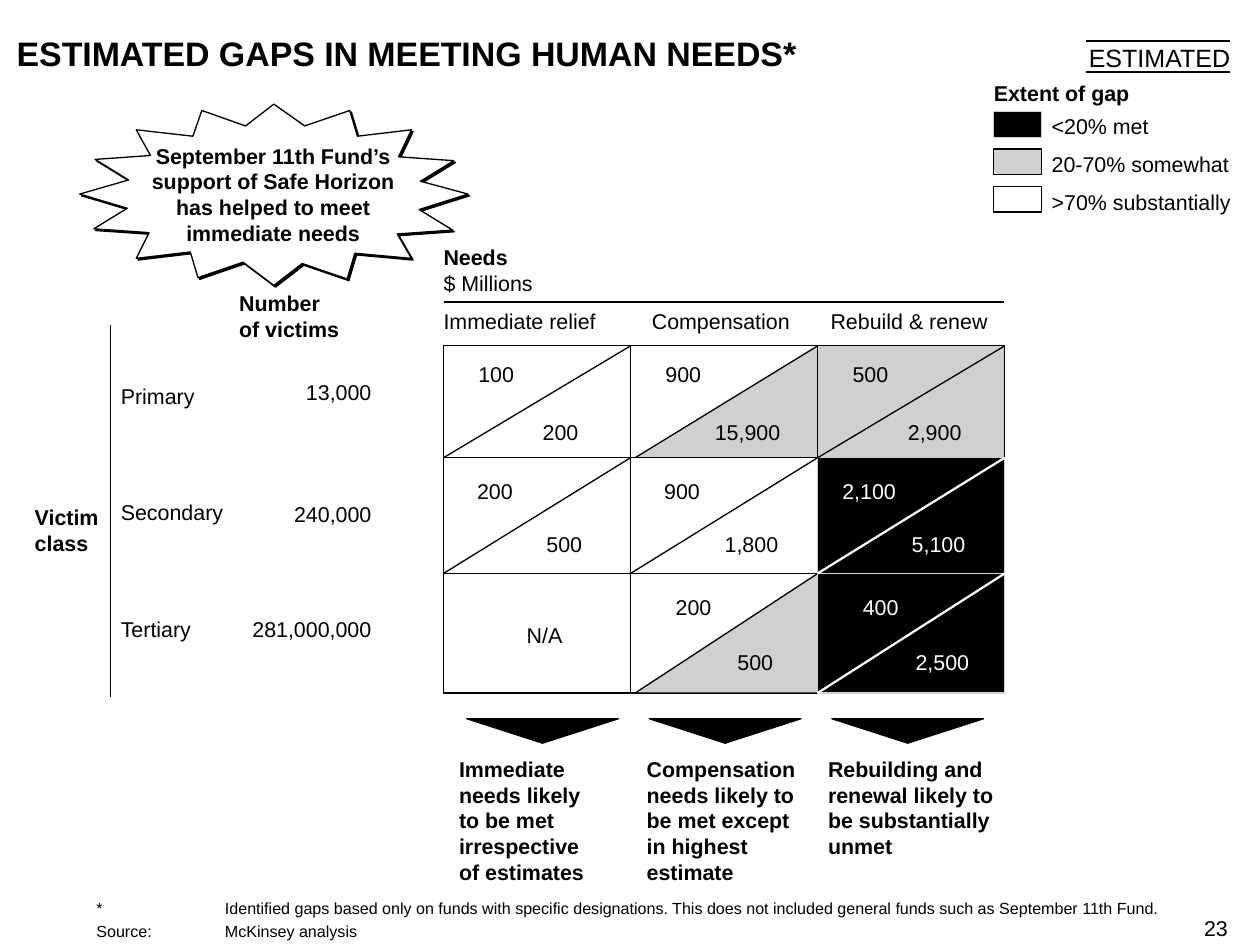
"""Build the slide on estimated gaps in meeting human needs."""
from dataclasses import dataclass
from lxml.etree import SubElement
from pptx import Presentation
from pptx.dml.color import RGBColor as RGB
from pptx.enum.shapes import MSO_CONNECTOR as LINK, MSO_SHAPE as SHAPE
from pptx.enum.text import MSO_ANCHOR as ANCHOR, PP_ALIGN as ALIGN
from pptx.oxml.ns import qn
from pptx.util import Emu, Inches, Pt


@dataclass(frozen=True)
class Theme:
    font: str = "Arial"
    black: str = "000000"
    white: str = "FFFFFF"
    grey: str = "D0D0D0"
    title: int = 19
    tag: int = 14
    body: int = 12
    note: int = 9


theme = Theme()
prs = Presentation()
prs.slide_width, prs.slide_height = Inches(9.8), Inches(7.35)
s = prs.slides.add_slide(prs.slide_layouts[6])
unit = prs.slide_width / 98


def grid(*lengths):
    """Turn grid columns and rows into slide lengths."""
    return [Emu(round(n * unit)) for n in lengths]


def text(content, x, y, w, h=2, size=theme.body, bold=False, color=theme.black,
         align=ALIGN.LEFT, anchor=ANCHOR.TOP, tab=None, before=0):
    """Add a text box with one paragraph per line of content."""
    tf = s.shapes.add_textbox(*grid(x, y, w, h)).text_frame
    tf.word_wrap, tf.vertical_anchor = True, anchor
    tf.margin_left = tf.margin_right = tf.margin_top = tf.margin_bottom = 0
    for i, line in enumerate(content.split("\n")):
        p = tf.add_paragraph() if i else tf.paragraphs[0]
        p.alignment = align
        if i and before:
            p.space_before = Pt(before)
        if tab:
            tabs = SubElement(p._p.get_or_add_pPr(), qn("a:tabLst"))
            SubElement(tabs, qn("a:tab"), pos=str(grid(tab)[0]), algn="l")
        r = p.add_run()
        r.text = line
        r.font.name, r.font.size, r.font.bold = theme.font, Pt(size), bold
        r.font.color.rgb = RGB.from_string(color)
    return tf


columns = [
    ("Immediate relief", 34.5, 35.7, 11.2,
     "Immediate needs likely to be met irrespective of estimates"),
    ("Compensation", 50.7, 50.3, 12.9,
     "Compensation needs likely to be met except in highest estimate"),
    ("Rebuild & renew", 64.6, 64.4, 13.8,
     "Rebuilding and renewal likely to be substantially unmet"),
]
rows = [
    ("Primary", 29.8, "13,000", 29.5, (0.8, 1.2), (5.8, 5.7)),
    ("Secondary", 38.8, "240,000", 39, (0.7, 1.6), (6.1, 5.7)),
    ("Tertiary", 47.9, "281,000,000", 47.9, (1.6, 1.6), (6.4, 5.9)),
]
W, G, B = theme.white, theme.grey, theme.black
needs = [
    [("100", "200", W, W), ("900", "15,900", W, G), ("500", "2,900", G, G)],
    [("200", "500", W, W), ("900", "1,800", W, W), ("2,100", "5,100", B, B)],
    [("N/A", None, W, W), ("200", "500", W, G), ("400", "2,500", B, B)],
]
legend = [("<20% met", B), ("20-70% somewhat", G), (">70% substantially", W)]
left, col_w, half_w = 34.5, 14.55, 14.2
row_tops = [26.9, 35.6, 44.6, 53.9]

boxes, labels = [], []
lines = [
    (34.5, 23.5, 78.1, 23.5, B, 0.75),
    (8.6, 25.3, 8.6, 54.2, B, 0.75),
    (84.5, 3.2, 95.7, 3.2, B, 1),
    (84.5, 5.6, 95.7, 5.6, B, 1),
]
for i, cells in enumerate(needs):
    y, h = row_tops[i], row_tops[i + 1] - row_tops[i]
    (top_dx, top_dy), (low_dx, low_dy) = rows[i][4:]
    for j, (upper, lower, fill, low_fill) in enumerate(cells):
        x = left + j * col_w
        ink = W if fill == B else B
        boxes.append((SHAPE.RECTANGLE, x, y, col_w, h, fill, 0))
        if lower is None:
            labels.append((upper, x + 1.3, y + 3.8, 13.1, ink))
            continue
        if low_fill != fill:
            boxes.append((SHAPE.RIGHT_TRIANGLE, x + col_w - (half_w + h) / 2,
                          y + (h - half_w) / 2, h, half_w, low_fill, 270))
        else:
            lines.append((x, y + h, x + col_w, y, ink, 1.25 if ink == W else 0.75))
        labels.append((upper, x + top_dx, y + top_dy, 6.6, ink))
        labels.append((lower, x + low_dx, y + low_dy, 6.6, ink))
for i, (name, fill) in enumerate(legend):
    boxes.append((SHAPE.RECTANGLE, 77.3, 8.7 + 2.9 * i, 3.7, 2, fill, 0))
for i in range(len(columns)):
    boxes.append((SHAPE.DOWN_ARROW, 36.3 + 14.2 * i, 55.9, 11.8, 1.9, B, 0))

for kind, x, y, w, h, fill, turn in boxes:
    sp = s.shapes.add_shape(kind, *grid(x, y, w, h))
    sp.shadow.inherit = False
    sp.rotation = turn
    sp.fill.solid()
    sp.fill.fore_color.rgb = RGB.from_string(fill)
    edge = G if fill == B and kind == SHAPE.RECTANGLE else B
    sp.line.color.rgb = RGB.from_string(edge)
    sp.line.width = Pt(0.75)
    if kind == SHAPE.DOWN_ARROW:
        sp.adjustments[0], sp.adjustments[1] = 0.69, 1

for x1, y1, x2, y2, color, width in lines:
    ln = s.shapes.add_connector(LINK.STRAIGHT, *grid(x1, y1, x2, y2))
    ln.line.color.rgb = RGB.from_string(color)
    ln.line.width = Pt(width)
    SubElement(ln._element.spPr, qn("a:effectLst"))

burst = [
    (62, 151), (99, 162), (73, 178), (116, 181), (106, 201), (148, 196),
    (154, 216), (189, 204), (213, 222), (235, 205), (270, 217), (276, 197),
    (320, 201), (309, 182), (352, 179), (326, 163), (364, 151), (327, 141),
    (353, 125), (310, 122), (320, 101), (278, 106), (272, 86), (237, 98),
    (213, 81), (191, 98), (157, 86), (150, 106), (106, 101), (117, 121),
    (74, 124), (100, 140),
]
fb = s.shapes.build_freeform(*burst[0], scale=unit / 10)
fb.add_line_segments(burst[1:], close=True)
sp = fb.convert_to_shape()
sp.shadow.inherit = False
sp.fill.solid()
sp.fill.fore_color.rgb = RGB.from_string(W)
sp.line.color.rgb = RGB.from_string(B)
sp.line.width = Pt(0.75)
shadow = SubElement(sp._element.spPr.find(qn("a:effectLst")), qn("a:outerShdw"),
                    blurRad="0", dist=str(Pt(1.4)), dir="2700000",
                    algn="ctr", rotWithShape="0")
SubElement(shadow, qn("a:srgbClr"), val=B)

text("ESTIMATED GAPS IN MEETING HUMAN NEEDS*", 1.3, 2.5, 80, 3.2,
     size=theme.title, bold=True, anchor=ANCHOR.MIDDLE)
text("ESTIMATED", 84, 3.3, 11.7, 2.4, size=theme.tag, align=ALIGN.RIGHT,
     anchor=ANCHOR.MIDDLE)
text("September 11th Fund’s support of Safe Horizon has helped to meet "
     "immediate needs", 11.7, 11.1, 19.1, 8, bold=True, align=ALIGN.CENTER)
text("Extent of gap", 77.3, 6.2, 18.5, bold=True)
for i, (name, fill) in enumerate(legend):
    text(name, 81.8, 8.8 + 2.95 * i, 14.6)
tf = text("Needs\n$ Millions", 34.5, 19, 11.7, 4, bold=True)
tf.paragraphs[1].runs[0].font.bold = False
text("Number of victims", 18.6, 22.6, 8.1, 4, bold=True)
text("Victim class", 2.7, 39.2, 5.2, 4, bold=True)
for name, name_y, victims, victims_y, *offsets in rows:
    text(name, 9.4, name_y, 9)
    text(victims, 18.6, victims_y, 10.3, align=ALIGN.RIGHT)
for name, name_x, outlook_x, outlook_w, outlook in columns:
    text(name, name_x, 24, 13.5)
    text(outlook, outlook_x, 58.8, outlook_w, 10, bold=True)
for value, x, y, w, ink in labels:
    text(value, x, y, w, color=ink, align=ALIGN.CENTER)
text("*\tIdentified gaps based only on funds with specific designations. This "
     "does not included general funds such as September 11th Fund.\n"
     "Source:\tMcKinsey analysis", 7.5, 69.9, 85, 3.3, size=theme.note,
     anchor=ANCHOR.BOTTOM, tab=10, before=2.2)
text("23", 93.5, 71.2, 2, align=ALIGN.RIGHT)

prs.save("out.pptx")
